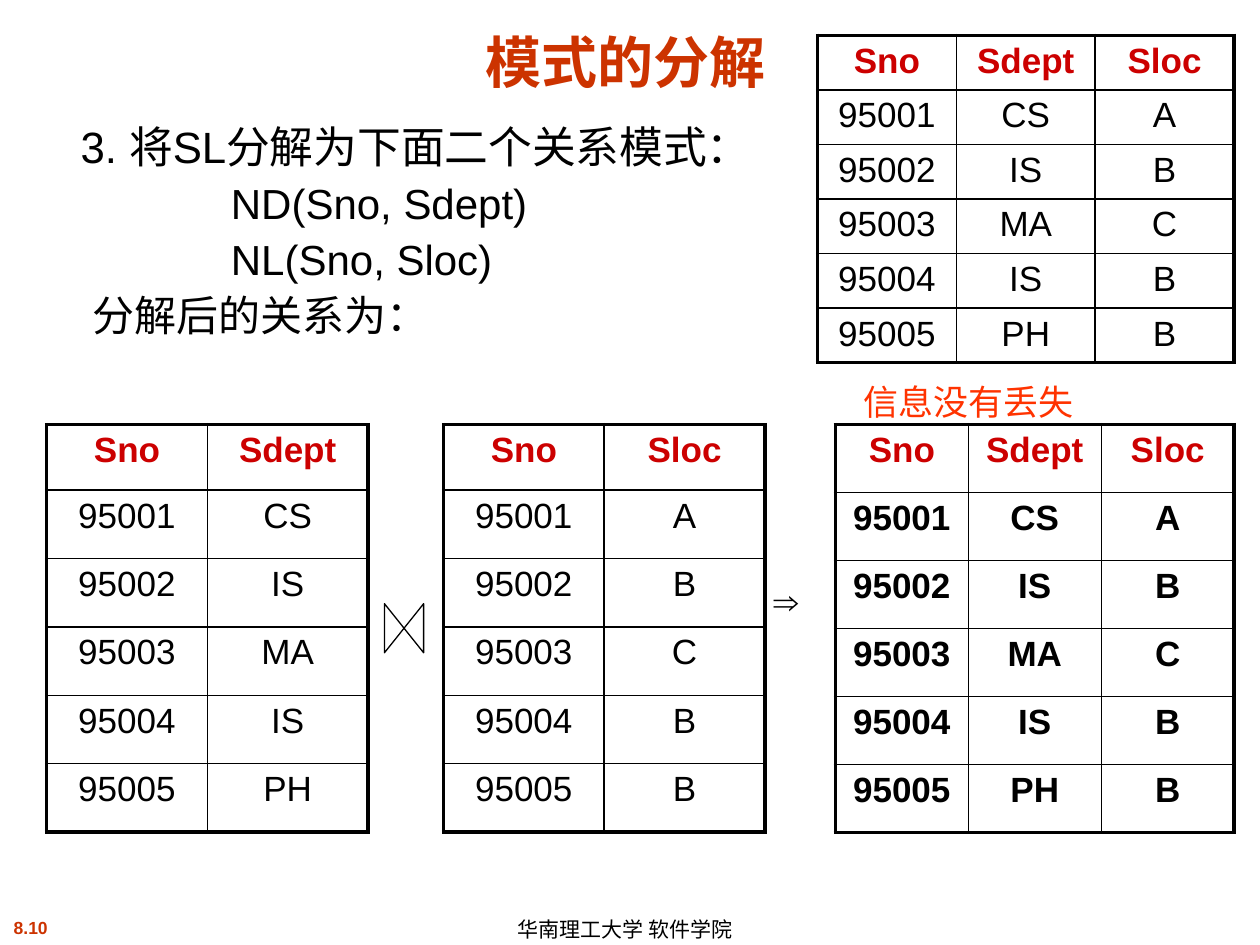
import pptx
import pptx.util
import pptx.dml.color
import pptx.enum.shapes
import pptx.enum.text
import pptx.oxml.ns
import lxml.etree

Cm = pptx.util.Cm
Pt = pptx.util.Pt
ALIGN = pptx.enum.text.PP_ALIGN
ANCHOR = pptx.enum.text.MSO_ANCHOR
COLORS = {
    "black": "000000",
    "white": "FFFFFF",
    "title": "CC3300",
    "header": "CC0000",
    "remark": "FF3300",
}


def add_run(paragraph, text, size, color="black", bold=False):
    run = paragraph.add_run()
    run.text = text
    run.font.name = "Arial"
    run.font.size = Pt(size)
    run.font.bold = bold
    run.font.color.rgb = pptx.dml.color.RGBColor.from_string(COLORS[color])


def add_border(cell, side, width):
    qn = pptx.oxml.ns.qn
    properties = cell._tc.get_or_add_tcPr()
    line = lxml.etree.SubElement(properties, qn(f"a:ln{side}"), w=str(Pt(width)))
    fill = lxml.etree.SubElement(line, qn("a:solidFill"))
    lxml.etree.SubElement(fill, qn("a:srgbClr"), val=COLORS["black"])


presentation = pptx.Presentation()
presentation.slide_width = Cm(25.4)
presentation.slide_height = Cm(19.05)
slide = presentation.slides.add_slide(presentation.slide_layouts[1])

title = slide.shapes.title
title.left, title.top, title.width, title.height = Cm(0.64), Cm(0.33), Cm(23.93), Cm(1.7)
title.text_frame.auto_size = pptx.enum.text.MSO_AUTO_SIZE.NONE
title.text_frame.vertical_anchor = ANCHOR.BOTTOM
title.text_frame.paragraphs[0].alignment = ALIGN.CENTER
add_run(title.text_frame.paragraphs[0], "模式的分解", 32, "title", True)

body = slide.placeholders[1]
body.left, body.top, body.width, body.height = Cm(0.86), Cm(2.41), Cm(15.14), Cm(5.21)
body.text_frame.auto_size = pptx.enum.text.MSO_AUTO_SIZE.NONE
body_lines = [
    ("3. 将SL分解为下面二个关系模式：", 25, 0.51),
    ("ND(Sno, Sdept)", 24, 3.54),
    ("NL(Sno, Sloc)", 24, 3.54),
    ("分解后的关系为：", 24, 0.76),
]
for index, (text, size, indent) in enumerate(body_lines):
    paragraph = body.text_frame.paragraphs[0] if index == 0 else body.text_frame.add_paragraph()
    paragraph.line_spacing = 0.9
    paragraph.space_before = Pt(6)
    properties = paragraph._p.get_or_add_pPr()
    properties.set("marL", str(Cm(indent)))
    properties.set("indent", "0")
    lxml.etree.SubElement(properties, pptx.oxml.ns.qn("a:buNone"))
    add_run(paragraph, text, size)

students = [
    {"Sno": "95001", "Sdept": "CS", "Sloc": "A"},
    {"Sno": "95002", "Sdept": "IS", "Sloc": "B"},
    {"Sno": "95003", "Sdept": "MA", "Sloc": "C"},
    {"Sno": "95004", "Sdept": "IS", "Sloc": "B"},
    {"Sno": "95005", "Sdept": "PH", "Sloc": "B"},
]
relations = [
    (["Sno", "Sdept", "Sloc"], 16.48, 0.71, 2.8, 1.1, 1.1, False),
    (["Sno", "Sdept"], 0.94, 8.56, 3.24, 1.32, 1.38, False),
    (["Sno", "Sloc"], 8.94, 8.56, 3.24, 1.32, 1.38, False),
    (["Sno", "Sdept", "Sloc"], 16.84, 8.56, 2.68, 1.37, 1.37, True),
]
for fields, left, top, column_width, header_height, row_height, bold in relations:
    rows = [fields] + [[student[field] for field in fields] for student in students]
    table = slide.shapes.add_table(
        len(rows), len(fields), Cm(left), Cm(top),
        Cm(column_width * len(fields)), Cm(header_height + row_height * len(students)),
    ).table
    table.first_row = False
    table.horz_banding = False
    for column in table.columns:
        column.width = Cm(column_width)
    for row_index, values in enumerate(rows):
        is_header = row_index == 0
        table.rows[row_index].height = Cm(header_height if is_header else row_height)
        for column_index, value in enumerate(values):
            cell = table.cell(row_index, column_index)
            paragraph = cell.text_frame.paragraphs[0]
            paragraph.alignment = ALIGN.CENTER
            add_run(paragraph, value, 20, "header" if is_header else "black", is_header or bold)
            outer_edges = {
                "L": column_index == 0,
                "R": column_index == len(fields) - 1,
                "T": is_header,
                "B": row_index == len(rows) - 1,
            }
            for side, is_outer in outer_edges.items():
                add_border(cell, side, 2.25 if is_outer else 1)
            cell.fill.background()

join_symbol = slide.shapes.add_shape(
    pptx.enum.shapes.MSO_SHAPE.FLOWCHART_COLLATE, Cm(7.65), Cm(12.27), Cm(0.99), Cm(0.79)
)
join_symbol.rotation = 90
join_symbol.shadow.inherit = False
join_symbol.fill.solid()
join_symbol.fill.fore_color.rgb = pptx.dml.color.RGBColor.from_string(COLORS["white"])
join_symbol.line.color.rgb = pptx.dml.color.RGBColor.from_string(COLORS["black"])
join_symbol.line.width = Pt(0.75)

labels = [
    ("⇒", 15.34, 11.56, 1.22, 1.12, 20, "black", False, ALIGN.LEFT, ANCHOR.TOP, False),
    ("信息没有丢失", 17.15, 7.54, 6.2, 1.12, 20, "remark", False, ALIGN.LEFT, ANCHOR.TOP, True),
    ("8.10", 0, 18.36, 1.24, 0.69, 10, "title", True, ALIGN.CENTER, ANCHOR.TOP, False),
    ("华南理工大学 软件学院", 10.19, 18.42, 5.69, 0.64, 12, "black", False, ALIGN.LEFT, ANCHOR.MIDDLE, False),
]
for text, left, top, width, height, size, color, bold, alignment, anchor, wrap in labels:
    text_box = slide.shapes.add_textbox(Cm(left), Cm(top), Cm(width), Cm(height))
    text_box.text_frame.word_wrap = wrap
    text_box.text_frame.vertical_anchor = anchor
    paragraph = text_box.text_frame.paragraphs[0]
    paragraph.alignment = alignment
    add_run(paragraph, text, size, color, bold)

presentation.save("out.pptx")
